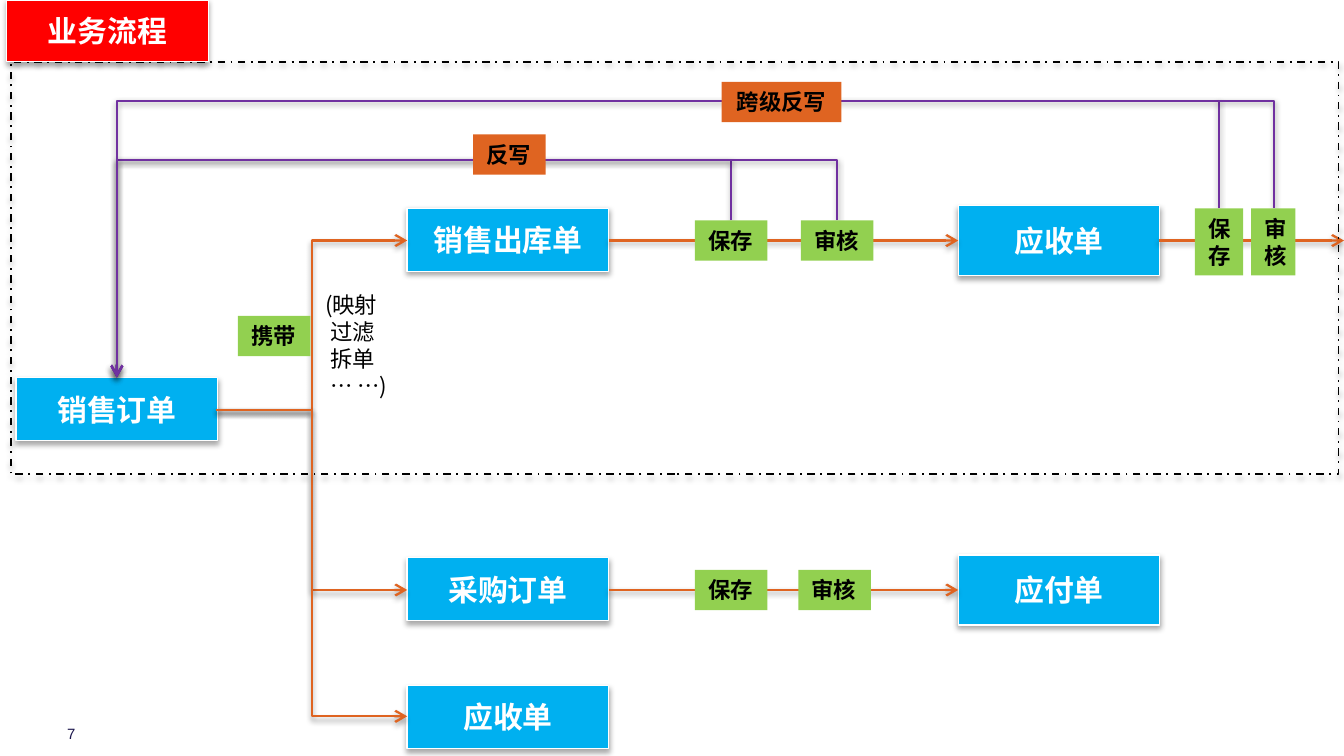
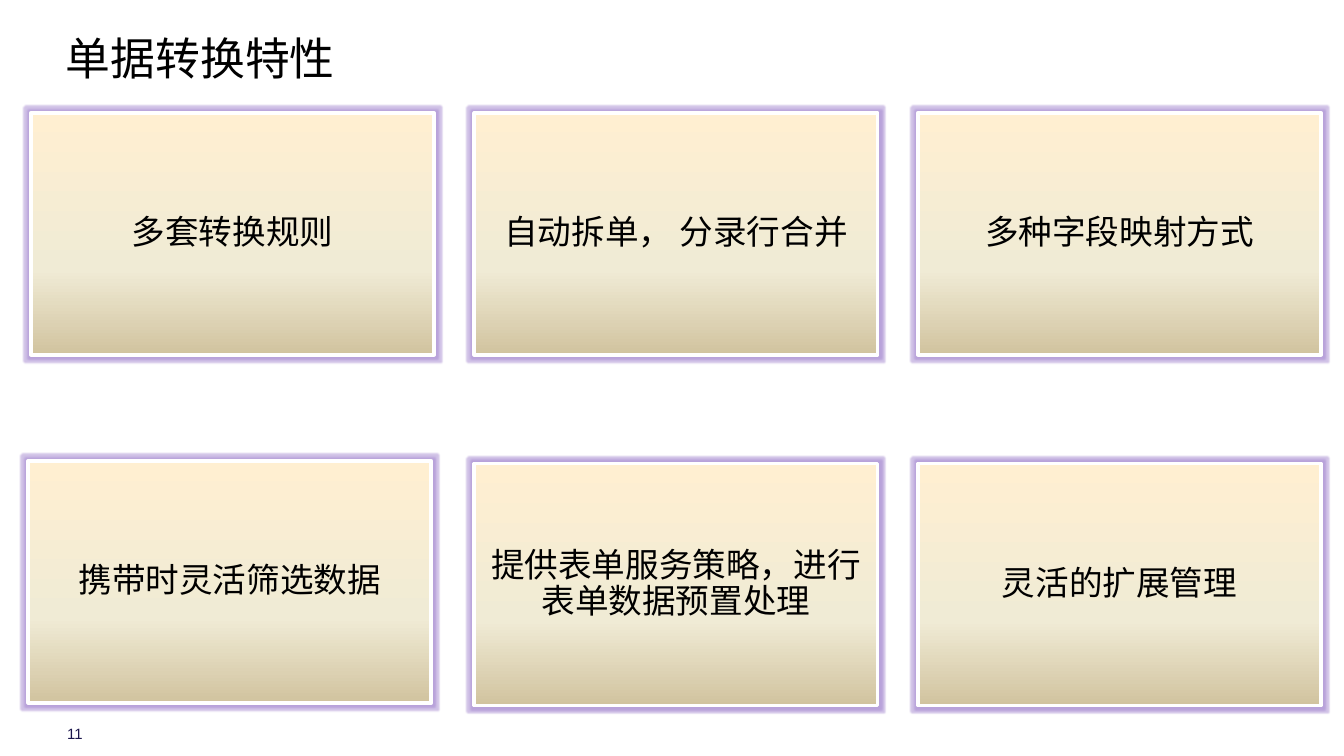
from dataclasses import dataclass

from lxml.etree import SubElement
from pptx import Presentation
from pptx.dml.color import RGBColor as RGB
from pptx.enum.dml import MSO_LINE as Dash
from pptx.enum.shapes import MSO_CONNECTOR as Conn, MSO_SHAPE as Kind
from pptx.enum.text import MSO_ANCHOR as Anchor, PP_ALIGN as Align
from pptx.oxml.ns import qn
from pptx.util import Inches, Pt


@dataclass(frozen=True)
class Theme:
    font: str = "Noto Sans CJK SC"
    latin: str = "Arial"
    black: str = "000000"
    white: str = "FFFFFF"
    navy: str = "1A154C"
    blue: str = "00B0F0"
    red: str = "FF0000"
    green: str = "92D050"
    orange: str = "DF6421"
    purple: str = "7030A0"
    glow: str = "9B7BCB"
    card: tuple = ((0, "FFEFD1"), (65, "F0EBD5"), (100, "D1C39F"))
    title: int = 24
    body: int = 18
    head: int = 16
    label: int = 12
    foot: int = 8


T = Theme()
WIDTH = 10
HEIGHT = WIDTH * 9 / 16
PAD = (0.1, 0.05, 0.1, 0.05)

# Slide 1: text, left, top, height
WIDE = 1.5
DOCS = [
    ("销售订单", 0.12, 2.81, 0.47),
    ("销售出库单", 3.03, 1.55, 0.47),
    ("应收单", 7.13, 1.53, 0.52),
    ("采购订单", 3.03, 4.15, 0.47),
    ("应付单", 7.13, 4.13, 0.52),
    ("应收单", 3.03, 5.1, 0.47),
]
# Start and end of each forward step
STEPS = [
    ((1.61, 3.05), (3.03, 1.79)),
    ((1.61, 3.05), (3.03, 4.39)),
    ((1.61, 3.05), (3.03, 5.33)),
    ((4.53, 1.79), (7.13, 1.79)),
    ((4.53, 4.39), (7.13, 4.39)),
    ((8.62, 1.79), (10, 1.79)),
]
# Start, end, height of the crossbar, arrow or not
BACKS = [
    ((5.44, 1.64), (0.87, 2.81), 1.19, True),
    ((6.23, 1.64), (0.87, 2.81), 1.19, True),
    ((9.07, 1.55), (0.87, 2.81), 0.75, True),
    ((9.07, 0.76), (9.48, 1.55), 0.75, False),
]
# Text, place, fill, wrapped or not
TAGS = [
    ("携带", (1.77, 2.35, 0.54, 0.3), T.green, False),
    ("保存", (5.17, 1.64, 0.54, 0.3), T.green, False),
    ("审核", (5.96, 1.64, 0.54, 0.3), T.green, False),
    ("保存", (5.17, 4.24, 0.54, 0.3), T.green, False),
    ("审核", (5.94, 4.24, 0.54, 0.3), T.green, False),
    ("保存", (8.89, 1.55, 0.36, 0.5), T.green, True),
    ("审核", (9.31, 1.55, 0.33, 0.5), T.green, True),
    ("反写", (3.52, 1, 0.54, 0.3), T.orange, False),
    ("跨级反写", (5.37, 0.61, 0.89, 0.3), T.orange, True),
]
NOTE = "(映射\n 过滤\n 拆单\n … …)"

# Slide 2: text and nudge off the grid
CARDS = [
    ("多套转换规则", 0),
    ("自动拆单， 分录行合并", 0),
    ("多种字段映射方式", 0),
    ("携带时灵活筛选数据", -0.02),
    ("提供表单服务策略，进行表单数据预置处理", 0),
    ("灵活的扩展管理", 0),
]


def node(up, tag, **atts):
    return SubElement(up, qn(tag), {k: str(v) for k, v in atts.items()})


def tint(up, color, alpha):
    node(node(up, "a:srgbClr", val=color), "a:alpha", val=alpha * 1000)


def shade(props, alpha):
    """Put a soft shadow below the shape."""
    fx = props.find(qn("a:effectLst"))
    if fx is None:
        fx = node(props, "a:effectLst")
    drop = node(fx, "a:outerShdw", blurRad=Pt(3.1), dist=Pt(1.7),
                dir=5400000, rotWithShape=0)
    tint(drop, T.black, alpha)


def write(shape, text, size, color=T.black, bold=False, font=T.font,
          align=Align.LEFT, anchor=Anchor.TOP, wrap=True, pad=PAD, space=None):
    frame = shape.text_frame
    frame.text = text
    frame.word_wrap = wrap
    frame.vertical_anchor = anchor
    (frame.margin_left, frame.margin_top,
     frame.margin_right, frame.margin_bottom) = map(Inches, pad)
    for par in frame.paragraphs:
        par.alignment = align
        if space:
            par.line_spacing = space
        for run in par.runs:
            run.font.name = font
            run.font.size = Pt(size)
            run.font.bold = bold
            run.font.color.rgb = RGB.from_string(color)
            node(run._r.get_or_add_rPr(), "a:ea", typeface=font)


def note(slide, place, text, size, **look):
    write(slide.shapes.add_textbox(*map(Inches, place)), text, size, **look)


def rect(slide, place, fill=None, line=None, width=0.75):
    box = slide.shapes.add_shape(Kind.RECTANGLE, *map(Inches, place))
    box.shadow.inherit = False
    if fill:
        box.fill.solid()
        box.fill.fore_color.rgb = RGB.from_string(fill)
    else:
        box.fill.background()
    if line:
        box.line.color.rgb = RGB.from_string(line)
        box.line.width = Pt(width)
    else:
        box.line.fill.background()
    return box


def block(slide, place, text, fill):
    box = rect(slide, place, fill, T.white)
    shade(box._element.spPr, 35)
    write(box, text, T.head, T.white, True,
          align=Align.CENTER, anchor=Anchor.MIDDLE)


def bend(slide, start, end, color, arrow=True):
    link = slide.shapes.add_connector(Conn.ELBOW, *map(Inches, start + end))
    link.line.color.rgb = RGB.from_string(color)
    link.line.width = Pt(1.25)
    props = link._element.spPr
    if arrow:
        node(props.find(qn("a:ln")), "a:tailEnd", type="arrow")
    shade(props, 38)
    return props


def back(slide, start, end, bar, arrow):
    """Draw an elbow that leaves upwards, runs along bar and comes down."""
    mx, my = (start[0] + end[0]) / 2, (start[1] + end[1]) / 2

    def turn(x, y):
        return mx - (y - my), my + (x - mx)

    props = bend(slide, turn(*start), turn(*end), T.purple, arrow)
    props.find(qn("a:xfrm")).set("rot", str(270 * 60000))
    geom = props.find(qn("a:prstGeom"))
    guide = geom.find(qn("a:avLst"))
    if guide is None:
        guide = node(geom, "a:avLst")
    ratio = (bar - start[1]) / (end[1] - start[1])
    node(guide, "a:gd", name="adj1", fmla=f"val {round(ratio * 100000)}")


def page(deck, number):
    slide = deck.slides.add_slide(deck.slide_layouts[6])
    note(slide, (0.5, 5.39, 0.25, 0.13), number, T.foot, color=T.navy,
         font=T.latin, anchor=Anchor.MIDDLE, pad=(0, 0, 0, 0))
    return slide


def flow(deck):
    slide = page(deck, "7")
    for text, x, y, high in DOCS:
        block(slide, (x, y, WIDE, high), text, T.blue)
    for start, end in STEPS:
        bend(slide, start, end, T.orange)
    for leg in BACKS:
        back(slide, *leg)
    for text, place, fill, wrap in TAGS:
        align = Align.CENTER if fill == T.orange and wrap else Align.LEFT
        write(rect(slide, place, fill), text, T.label, bold=True,
              wrap=wrap, align=align)
    note(slide, (2.32, 2.12, 0.71, 0.91), NOTE, T.label)
    scope = rect(slide, (0.08, 0.46, 9.88, 3.07), line=T.black, width=1)
    scope.line.dash_style = Dash.DASH_DOT
    shade(scope._element.spPr, 35)
    block(slide, (0.05, 0, WIDE, 0.46), "业务流程", T.red)


def card(slide, place, text):
    box = rect(slide, place, line=T.white, width=2)
    box.fill.gradient()
    box.fill.gradient_angle = 270
    props = box._element.spPr
    stops = props.find(".//" + qn("a:gsLst"))
    for old in list(stops):
        stops.remove(old)
    for pos, color in T.card:
        node(node(stops, "a:gs", pos=pos * 1000), "a:srgbClr", val=color)
    tint(node(props.find(qn("a:effectLst")), "a:glow", rad=Pt(2)), T.glow, 45)
    write(box, text, T.body, align=Align.CENTER, anchor=Anchor.MIDDLE,
          pad=(0.08,) * 4, space=0.9)


def traits(deck):
    slide = page(deck, "11")
    note(slide, (0.49, 0.23, 9.19, 0.57), "单据转换特性", T.title,
         pad=(0, 0, 0, 0))
    for i, (text, off) in enumerate(CARDS):
        row, col = divmod(i, 3)
        x, y = 0.23 + 3.3 * col + off, 0.84 + 2.61 * row + off
        card(slide, (x, y, 3, 1.8), text)


def main():
    deck = Presentation()
    deck.slide_width, deck.slide_height = Inches(WIDTH), Inches(HEIGHT)
    flow(deck)
    traits(deck)
    deck.save("out.pptx")


if __name__ == "__main__":
    main()
